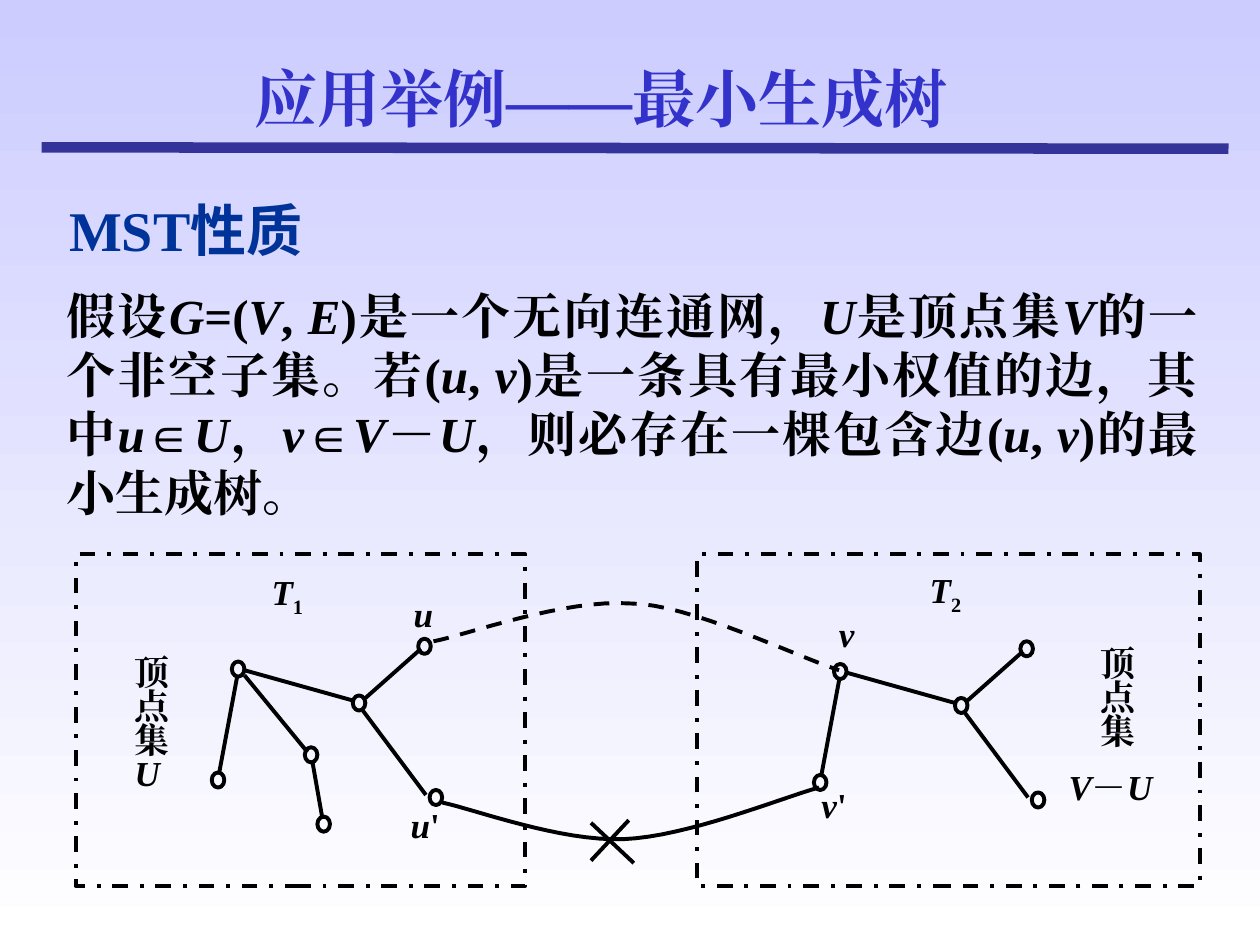
"""Build the slide on the MST property with its two-tree diagram."""
from lxml.etree import SubElement
from pptx import Presentation
from pptx.dml.color import RGBColor
from pptx.enum.dml import MSO_LINE
from pptx.enum.shapes import MSO_CONNECTOR, MSO_SHAPE
from pptx.enum.text import MSO_ANCHOR, MSO_AUTO_SIZE, PP_ALIGN
from pptx.oxml import parse_xml
from pptx.oxml.ns import nsdecls, qn
from pptx.util import Pt

THEME = {
    "title": "3333CC", "heading": "003399", "ink": "000000", "rule": "333399",
    "bg": ("CCCCFF", "FFFFFF"), "shadow": "808080",
    "latin": "Times New Roman", "cjk": "Noto Sans CJK SC",
    "title_size": 36, "heading_size": 32, "body_size": 28, "label_size": 20,
    "stroke": 2.25, "rule_width": 6,
}

TITLE = "应用举例——最小生成树"
HEADING = ("MST", "性质")
BODY = ("假设*G*=(*V*, *E*)是一个无向连通网，*U*是顶点集*V*的一个非空子集。"
        "若(*u*, *v*)是一条具有最小权值的边，其中*u*∈*U*，*v*∈*V*－*U*，"
        "则必存在一棵包含边(*u*, *v*)的最小生成树。")

LABELS = [
    ("*T*_1", (143.3, 330.5, 41.8, 18), 0.72, PP_ALIGN.CENTER),
    ("*T*_2", (519.8, 329, 41, 18), 0.72, PP_ALIGN.CENTER),
    ("*u*", (231.8, 344.9, 20.2, 18), 0.72, PP_ALIGN.CENTER),
    ("*u*'", (232.6, 466.6, 20.9, 15.1), 0.64, PP_ALIGN.CENTER),
    ("*v*", (473, 356.4, 21.6, 16.6), 0.72, PP_ALIGN.CENTER),
    ("*v*'", (464.4, 453.6, 24.5, 18), 0.72, PP_ALIGN.CENTER),
    ("顶点集*U*", (77, 376.5, 24.5, 78.5), 0.8, PP_ALIGN.JUSTIFY),
    ("顶点集", (628.6, 371.5, 20.3, 60.5), 0.8, PP_ALIGN.JUSTIFY),
    ("*V*－*U*", (610.6, 436.3, 76.3, 24.5), 1.04, PP_ALIGN.JUSTIFY),
]

FRAMES = [(43.2, 316.8, 257, 189.4), (398.2, 316.8, 287.3, 189.4)]
NODE_SIZE = (7.2, 8.64)
TREE_NODES = [(239, 365), (245.5, 451.4), (201.6, 397.4), (121, 441.4), (132.5, 378)]
TREE_EDGES = [(240.5, 370.8, 208.8, 398.9), (207.4, 406.1, 243.4, 454.3),
              (135.4, 387.4, 125.3, 441.4), (139.7, 383, 201.6, 400.3)]
BRANCH_NODES = [(174.2, 427), (181.4, 466.6)]
BRANCH_EDGES = [(139.7, 385.9, 175.7, 429.8), (178.6, 435.6, 184.3, 468)]
TREES = [((0, 0), TREE_NODES + BRANCH_NODES, TREE_EDGES + BRANCH_EDGES),
         ((344.1, 1.4), TREE_NODES, TREE_EDGES)]
CROSS = [(337.7, 470.2, 362.2, 493.2), (359.3, 468.7, 337.7, 491.8)]
BRIDGES = [
    ([(252.7, 458.6), (270, 462.2), (320.4, 481), (356.4, 479.5),
      (392.4, 478.1), (445, 456.5), (468, 450)], None),
    ([(247.7, 366.5), (266.4, 362.9), (322.6, 342), (360.7, 344.9),
      (393.1, 344.9), (455, 375.1), (479.5, 383)], MSO_LINE.DASH),
]


def rgb(name):
    return RGBColor.from_string(THEME[name])


def write(p, text, size, color="ink", font="latin"):
    for i, part in enumerate(text.split("*")):
        if not part:
            continue
        r = p.add_run()
        r.text = part.lstrip("_")
        r.font.size, r.font.bold, r.font.italic = Pt(THEME[size]), True, i % 2 == 1
        r.font.color.rgb = rgb(color)
        r.font.name = THEME[font]
        rPr = r._r.get_or_add_rPr()
        rPr.set("lang", "zh-CN")
        SubElement(rPr, qn("a:ea")).set("typeface", THEME[font])
        if part.startswith("_"):
            rPr.set("baseline", "-25000")


def set_frame(sp, box, insets=(7.2, 3.6), spacing=1.0, align=PP_ALIGN.LEFT, grow=False):
    sp.left, sp.top, sp.width, sp.height = map(Pt, box)
    tf = sp.text_frame
    tf.word_wrap = True
    tf.auto_size = MSO_AUTO_SIZE.SHAPE_TO_FIT_TEXT if grow else MSO_AUTO_SIZE.NONE
    tf.vertical_anchor = MSO_ANCHOR.TOP
    tf.margin_left = tf.margin_right = Pt(insets[0])
    tf.margin_top = tf.margin_bottom = Pt(insets[1])
    p = tf.paragraphs[0]
    p.alignment, p.line_spacing, p.space_before = align, spacing, Pt(0)
    return p


def add_text(slide, box, **layout):
    return set_frame(slide.shapes.add_textbox(*map(Pt, box)), box, **layout)


def outline(sp, dash=None):
    sp.shadow.inherit = False
    sp.fill.background()
    sp.line.color.rgb, sp.line.width = rgb("ink"), Pt(THEME["stroke"])
    if dash:
        sp.line.dash_style = dash


def add_line(slide, ends, color="ink", width="stroke"):
    cxn = slide.shapes.add_connector(MSO_CONNECTOR.STRAIGHT, *map(Pt, ends))
    cxn.line.color.rgb, cxn.line.width = rgb(color), Pt(THEME[width])
    SubElement(cxn._element.spPr, qn("a:effectLst"))


def bezier(points, steps=16):
    curve = [points[0]]
    for k in range(0, len(points) - 1, 3):
        for n in range(1, steps + 1):
            t = n / steps
            weights = ((1 - t) ** 3, 3 * t * (1 - t) ** 2, 3 * t * t * (1 - t), t ** 3)
            curve.append(tuple(sum(w * pt[axis] for w, pt in zip(weights, points[k:k + 4]))
                               for axis in (0, 1)))
    return [(Pt(x), Pt(y)) for x, y in curve]


def add_title(slide):
    sp = slide.shapes.title
    p = set_frame(sp, (138.2, 30.2, 459.4, 50.4), grow=True)
    write(p, TITLE, "title_size", "title")
    fill = p.runs[0]._r.rPr.find(qn("a:solidFill"))
    fill.addnext(parse_xml(
        f'<a:effectLst {nsdecls("a")}><a:outerShdw dist="25400" dir="2700000">'
        f'<a:srgbClr val="{THEME["shadow"]}"/></a:outerShdw></a:effectLst>'))


def add_diagram(slide):
    for box in FRAMES:
        outline(slide.shapes.add_shape(MSO_SHAPE.RECTANGLE, *map(Pt, box)), MSO_LINE.DASH_DOT)
    for points, dash in BRIDGES:
        start, *rest = bezier(points)
        builder = slide.shapes.build_freeform(*start)
        builder.add_line_segments(rest, close=False)
        outline(builder.convert_to_shape(), dash)
    for (dx, dy), nodes, edges in TREES:
        for x1, y1, x2, y2 in edges:
            add_line(slide, (x1 + dx, y1 + dy, x2 + dx, y2 + dy))
        for x, y in nodes:
            box = (x + dx, y + dy, *NODE_SIZE)
            outline(slide.shapes.add_shape(MSO_SHAPE.OVAL, *map(Pt, box)))
    for ends in CROSS:
        add_line(slide, ends)
    for text, box, spacing, align in LABELS:
        p = add_text(slide, box, insets=(0, 0), spacing=spacing, align=align)
        write(p, text, "label_size")


def main():
    prs = Presentation()
    prs.slide_width, prs.slide_height = Pt(720), Pt(540)
    slide = prs.slides.add_slide(prs.slide_layouts[5])
    fill = slide.background.fill
    fill.gradient()
    fill.gradient_angle = 270
    for stop, color, position in zip(fill.gradient_stops, THEME["bg"], (0, 1)):
        stop.color.rgb, stop.position = RGBColor.from_string(color), position

    add_line(slide, (23.8, 84.2, 702, 85), "rule", "rule_width")
    add_title(slide)
    p = add_text(slide, (32.4, 108, 221.8, 46.1), grow=True)
    for text, font in zip(HEADING, ("latin", "cjk")):
        write(p, text, "heading_size", "heading", font)
    p = add_text(slide, (31, 159.8, 660.2, 141.8), align=PP_ALIGN.JUSTIFY, grow=True)
    write(p, BODY, "body_size")
    add_diagram(slide)
    prs.save("out.pptx")


if __name__ == "__main__":
    main()
